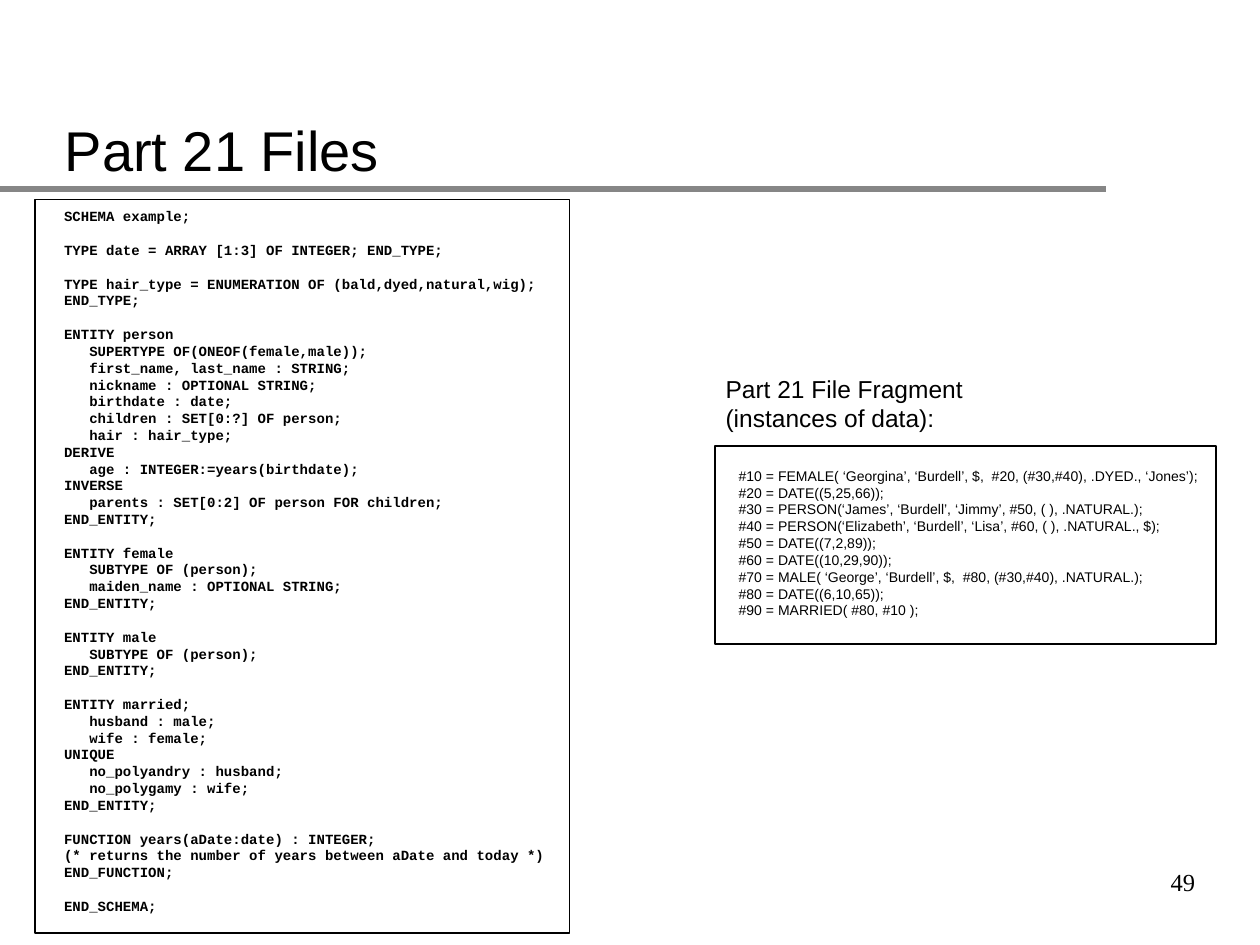
from pptx import Presentation
from pptx.dml.color import RGBColor
from pptx.enum.shapes import MSO_CONNECTOR, MSO_SHAPE
from pptx.enum.text import MSO_ANCHOR, MSO_AUTO_SIZE, PP_ALIGN
from pptx.oxml.ns import qn
from pptx.util import Pt
from lxml import etree

RECTANGLE = MSO_SHAPE.RECTANGLE
STRAIGHT = MSO_CONNECTOR.STRAIGHT
TOP, MIDDLE, BOTTOM = MSO_ANCHOR.TOP, MSO_ANCHOR.MIDDLE, MSO_ANCHOR.BOTTOM
LEFT, RIGHT = PP_ALIGN.LEFT, PP_ALIGN.RIGHT
FIT, FIXED = MSO_AUTO_SIZE.SHAPE_TO_FIT_TEXT, MSO_AUTO_SIZE.NONE

SCHEMA_BLOCKS = [
    ["SCHEMA example;"],
    ["TYPE date = ARRAY [1:3] OF INTEGER; END_TYPE;"],
    ["TYPE hair_type = ENUMERATION OF (bald,dyed,natural,wig);",
     "END_TYPE;"],
    ["ENTITY person",
     "   SUPERTYPE OF(ONEOF(female,male));",
     "   first_name, last_name : STRING;",
     "   nickname : OPTIONAL STRING;",
     "   birthdate : date;",
     "   children : SET[0:?] OF person;",
     "   hair : hair_type;",
     "DERIVE",
     "   age : INTEGER:=years(birthdate);",
     "INVERSE",
     "   parents : SET[0:2] OF person FOR children;",
     "END_ENTITY;"],
    ["ENTITY female",
     "   SUBTYPE OF (person);",
     "   maiden_name : OPTIONAL STRING;",
     "END_ENTITY;"],
    ["ENTITY male",
     "   SUBTYPE OF (person);",
     "END_ENTITY;"],
    ["ENTITY married;",
     "   husband : male;",
     "   wife : female;",
     "UNIQUE",
     "   no_polyandry : husband;",
     "   no_polygamy : wife;",
     "END_ENTITY;"],
    ["FUNCTION years(aDate:date) : INTEGER;",
     "(* returns the number of years between aDate and today *)",
     "END_FUNCTION;"],
    ["END_SCHEMA;"],
]

INSTANCES = [
    "#10 = FEMALE( ‘Georgina’, ‘Burdell’, $,  #20, (#30,#40), .DYED., ‘Jones’);",
    "#20 = DATE((5,25,66));",
    "#30 = PERSON(‘James’, ‘Burdell’, ‘Jimmy’, #50, ( ), .NATURAL.);",
    "#40 = PERSON(‘Elizabeth’, ‘Burdell’, ‘Lisa’, #60, ( ), .NATURAL., $);",
    "#50 = DATE((7,2,89));",
    "#60 = DATE((10,29,90));",
    "#70 = MALE( ‘George’, ‘Burdell’, $,  #80, (#30,#40), .NATURAL.);",
    "#80 = DATE((6,10,65));",
    "#90 = MARRIED( #80, #10 );",
]

HEADING = ["Part 21 File Fragment", "(instances of data):"]


def color(value):
    return RGBColor.from_string(value)


class SlideWriter:
    ink = "000000"
    paper = "FFFFFF"
    rule_gray = "868686"
    line_height = 1.2

    def __init__(self, page):
        self.page = page

    def rule(self, left, top, right, weight):
        line = self.page.shapes.add_connector(
            STRAIGHT, Pt(left), Pt(top), Pt(right), Pt(top))
        line.line.color.rgb = color(self.rule_gray)
        line.line.width = Pt(weight)
        etree.SubElement(line._element.spPr, qn("a:effectLst"))

    def frame(self, left, top, width, height):
        box = self.page.shapes.add_shape(
            RECTANGLE, Pt(left), Pt(top), Pt(width), Pt(height))
        box.shadow.inherit = False
        box.fill.solid()
        box.fill.fore_color.rgb = color(self.paper)
        box.line.color.rgb = color(self.ink)
        box.line.width = Pt(1)

    def text_frame(self, left, top, width, height, wrap, sizing):
        box = self.page.shapes.add_textbox(
            Pt(left), Pt(top), Pt(width), Pt(height))
        box.text_frame.word_wrap = wrap
        box.text_frame.auto_size = sizing
        return box.text_frame

    def label(self, text, left, top, width, height, size, font="Arial",
              anchor=TOP, align=LEFT, wrap=False):
        frame = self.text_frame(left, top, width, height, wrap, FIXED)
        frame.vertical_anchor = anchor
        frame.text = text
        para = frame.paragraphs[0]
        para.alignment = align
        self.style(para, size, font)

    def listing(self, blocks, left, top, width, height, size,
                font="Arial", bold=False):
        frame = self.text_frame(left, top, width, height, False, FIT)
        pitch = Pt(size * self.line_height)
        para = frame.paragraphs[0]
        for block_index, block in enumerate(blocks):
            for line_index, line in enumerate(block):
                if block_index or line_index:
                    para = frame.add_paragraph()
                para.text = line
                para.line_spacing = pitch
                if block_index and not line_index:
                    para.space_before = pitch
                self.style(para, size, font, bold)

    def style(self, para, size, font, bold=False):
        for span in para.runs:
            span.font.name = font
            span.font.size = Pt(size)
            span.font.bold = bold
            span.font.color.rgb = color(self.ink)


def main():
    deck = Presentation()
    deck.slide_width, deck.slide_height = Pt(720), Pt(540)
    writer = SlideWriter(deck.slides.add_slide(deck.slide_layouts[6]))

    writer.rule(0, 108, 632, 4)
    writer.label("49", 540, 486, 150, 36, 14, "Times New Roman",
                 MIDDLE, RIGHT)
    writer.frame(408.5, 255, 286.5, 113)
    writer.label("Part 21 Files", 30, 21, 612, 87, 32,
                 anchor=BOTTOM, wrap=True)
    writer.frame(20, 114, 305.5, 419)
    writer.listing(SCHEMA_BLOCKS, 29.5, 115.2, 289.5, 409.7, 8,
                   "Courier New", True)
    writer.listing([INSTANCES], 415, 263.5, 278, 93.6, 8)
    writer.listing([HEADING], 407.5, 210.2, 150.5, 41, 14)
    deck.save("out.pptx")


if __name__ == "__main__":
    main()
